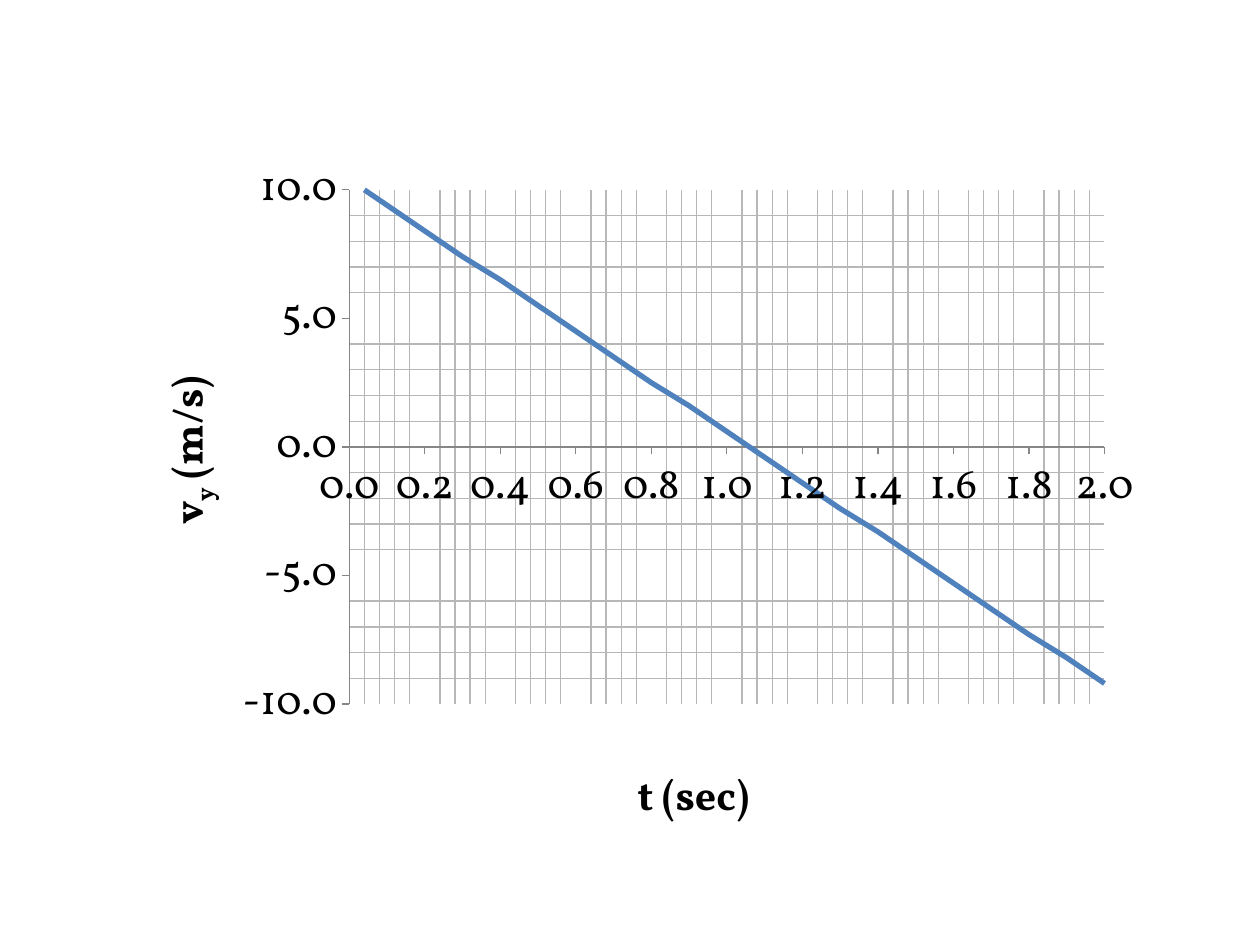
from pptx import Presentation
from pptx.chart.data import XyChartData
from pptx.dml.color import RGBColor
from pptx.enum.chart import XL_CHART_TYPE as ChartType, XL_TICK_MARK as TickMark
from pptx.oxml import parse_xml
from pptx.oxml.ns import nsdecls, qn
from pptx.util import Pt

COLORS = {"text": "000000", "line": "4F81BD", "axis": "868686"}
FONT = "Vollkorn"
SIZE = 24
CHART_BOX = (72, 84, 588, 402)
VELOCITIES = [10.4, 9.4, 8.4, 7.4, 6.5, 5.5, 4.5, 3.5, 2.5, 1.6, 0.6,
              -0.4, -1.4, -2.4, -3.3, -4.3, -5.3, -6.3, -7.3, -8.2, -9.2]
TIME_STEP = 0.1
PLOT_LAYOUT = {"x": 0.217, "y": 0.061, "w": 0.734, "h": 0.731}
TIME_AXIS = {
    "scale": {"minimum_scale": 0, "maximum_scale": 2, "major_unit": 0.2, "minor_unit": 0.04},
    "title": [("t (sec)", 0)],
    "layout": {"x": 0.49, "y": 0.87},
    "rotation": 0,
}
VELOCITY_AXIS = {
    "scale": {"minimum_scale": -10, "maximum_scale": 10, "major_unit": 5, "minor_unit": 1},
    "title": [("v", 0), ("y", -25000), (" (m/s)", 0)],
    "layout": {"x": 0.03, "y": 0.32},
    "rotation": -5400000,
}
AXIS_FORMAT = {
    "has_major_gridlines": False,
    "has_minor_gridlines": True,
    "major_tick_mark": TickMark.OUTSIDE,
    "minor_tick_mark": TickMark.NONE,
}


def apply(target, values):
    for name, value in values.items():
        setattr(target, name, value)


def color(name):
    return RGBColor.from_string(COLORS[name])


def style_font(font, bold):
    apply(font, {"name": FONT, "size": Pt(SIZE), "bold": bold})
    font.color.rgb = color("text")


def style_line(line, name, width):
    line.color.rgb = color(name)
    line.width = Pt(width)


def place(element, layout):
    modes = [f'<c:{key}Mode val="edge"/>' for key in "xy"]
    if "w" in layout:
        modes.insert(0, '<c:layoutTarget val="inner"/>')
    sizes = [f'<c:{key} val="{value}"/>' for key, value in layout.items()]
    manual = f'<c:manualLayout>{"".join(modes + sizes)}</c:manualLayout>'
    for automatic in element.findall(qn("c:layout")):
        element.remove(automatic)
    position = len(element.findall(qn("c:tx")))
    element.insert(position, parse_xml(f'<c:layout {nsdecls("c")}>{manual}</c:layout>'))


def style_axis(axis, content):
    apply(axis, AXIS_FORMAT | content["scale"])
    apply(axis.tick_labels, {"number_format": "0.0", "number_format_is_linked": False})
    style_font(axis.tick_labels.font, False)
    style_line(axis.format.line, "axis", 0.75)
    title = axis.axis_title
    para = title.text_frame.paragraphs[0]
    for text, baseline in content["title"]:
        span = para.add_run()
        span.text = text
        style_font(span.font, True)
        if baseline:
            span._r.get_or_add_rPr().set("baseline", str(baseline))
    body = title._element.find(".//" + qn("a:bodyPr"))
    body.set("rot", str(content["rotation"]))
    body.set("vert", "horz")
    place(title._element, content["layout"])


deck = Presentation()
apply(deck, {"slide_width": Pt(720), "slide_height": Pt(540)})
page = deck.slides.add_slide(deck.slide_layouts[6])

data = XyChartData()
points = data.add_series("Series 1")
for index, velocity in enumerate(VELOCITIES):
    points.add_data_point(round(index * TIME_STEP, 1), velocity)

frame = page.shapes.add_chart(ChartType.XY_SCATTER_SMOOTH_NO_MARKERS, *map(Pt, CHART_BOX), data)
chart = frame.chart
apply(chart, {"has_title": False, "has_legend": False})
style_font(chart.font, False)
plot = chart.plots[0]
plot.vary_by_categories = False
series = plot.series[0]
series.smooth = True
style_line(series.format.line, "line", 3)
style_axis(chart.category_axis, TIME_AXIS)
style_axis(chart.value_axis, VELOCITY_AXIS)
place(chart._chartSpace.find(".//" + qn("c:plotArea")), PLOT_LAYOUT)

deck.save("out.pptx")
